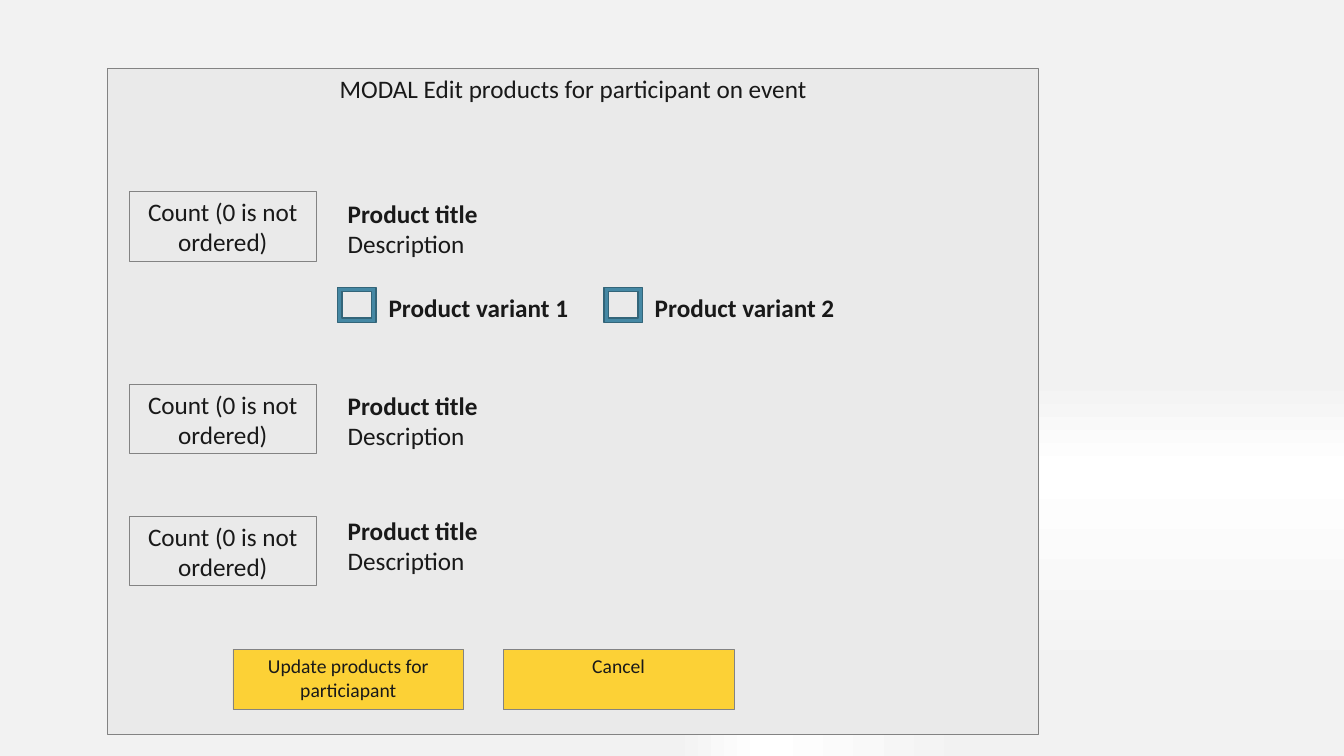
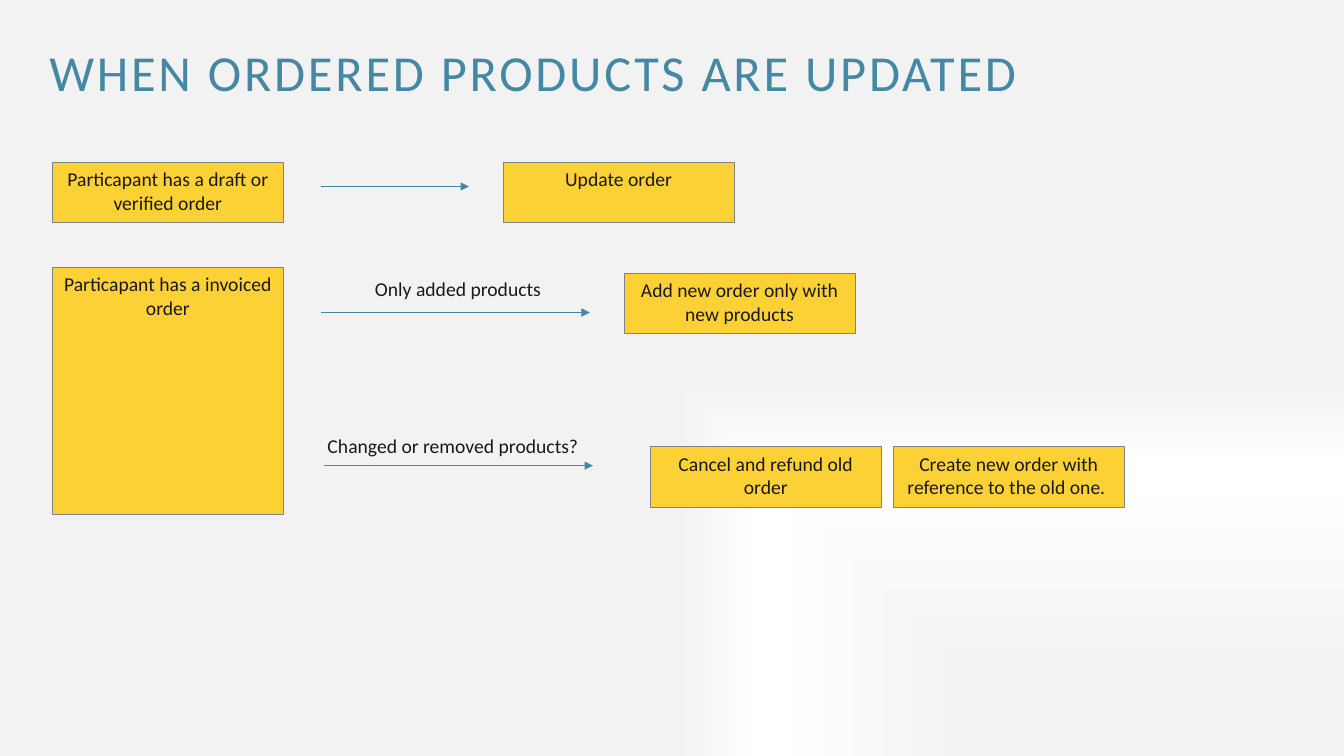
from lxml import etree
from pptx import Presentation
from pptx.dml.color import RGBColor
from pptx.enum.shapes import MSO_CONNECTOR, MSO_SHAPE
from pptx.enum.text import MSO_ANCHOR, MSO_AUTO_SIZE, PP_ALIGN
from pptx.oxml import parse_xml
from pptx.oxml.ns import qn
from pptx.util import Inches, Pt

RECT, FRAME = MSO_SHAPE.RECTANGLE, MSO_SHAPE.FRAME
STRAIGHT = MSO_CONNECTOR.STRAIGHT
TOP, BOTTOM = MSO_ANCHOR.TOP, MSO_ANCHOR.BOTTOM
LEFT, CENTER = PP_ALIGN.LEFT, PP_ALIGN.CENTER
GROW = MSO_AUTO_SIZE.SHAPE_TO_FIT_TEXT

FONT = "Calibri"
INK, TEAL, DEEP = "191919", "4588A4", "336579"
PANEL, EDGE, GOLD = "EAEAEA", "838383", "FCD136"
STOPS = [(0, "F2F2F2"), (20, "F2F2F2"), (76, "FFFFFF"), (100, "F2F2F2")]
BOX_W, BOX_H = 2.29, 0.6

MODAL = "MODAL Edit products for participant on event"
COUNT = "Count (0 is not ordered)"
PRODUCT = ["Product title", "Description"]
ROWS = [(1.9, 1.92), (3.81, 3.82), (5.12, 5.06)]
VARIANTS = [("Product variant 1", 3.35), ("Product variant 2", 5.99)]
BUTTONS = [("Update products for particiapant", 2.31), ("Cancel", 4.99)]

TITLE = "WHEN ORDERED PRODUCTS ARE UPDATED"
STEPS = [
    ("Particapant has a draft or verified order", 0.52, 1.61, BOX_H),
    ("Update order", 4.99, 1.61, BOX_H),
    ("Particapant has a invoiced order", 0.52, 2.65, 2.45),
    ("Add new order only with new products", 6.19, 2.71, BOX_H),
    ("Cancel and refund old order", 6.45, 4.43, BOX_H),
    ("Create new order with reference to the old one. ", 8.86, 4.43, BOX_H),
]
ARROWS = [(3.18, 4.65, 1.85), (3.18, 5.85, 3.1), (3.21, 5.88, 4.62)]
LABELS = [
    ("Only added products", 3.62, 2.7, 1.93),
    ("Changed or removed products?", 3.15, 4.26, 2.8),
]


def color(text):
    return RGBColor.from_string(text)


def inches(*sizes):
    return [Inches(size) for size in sizes]


def write(shape, lines, size, tint=INK, align=LEFT, bold=False):
    frame = shape.text_frame
    frame.text = "\n".join(lines)
    for spot, par in enumerate(frame.paragraphs):
        par.alignment = align
        par.font.name = FONT
        par.font.size = Pt(size)
        par.font.color.rgb = color(tint)
        par.font.bold = bold and spot == 0
    return frame


def box(slide, place, fill, edge=EDGE, width=0.5, kind=RECT):
    shape = slide.shapes.add_shape(kind, *inches(*place))
    shape.shadow.inherit = False
    shape.fill.solid()
    shape.fill.fore_color.rgb = color(fill)
    if edge:
        shape.line.color.rgb = color(edge)
        shape.line.width = Pt(width)
    else:
        shape.line.fill.background()
    shape.text_frame.vertical_anchor = TOP
    return shape


def button(slide, text, left, top, high=BOX_H):
    shape = box(slide, (left, top, BOX_W, high), GOLD)
    write(shape, [text], 14, align=CENTER)


def arrow(slide, start, end, top):
    line = slide.shapes.add_connector(STRAIGHT, *inches(start, top, end, top))
    line.line.color.rgb = color(TEAL)
    line.line.width = Pt(0.5)
    etree.SubElement(line.line._get_or_add_ln(), qn("a:tailEnd"), type="triangle")
    etree.SubElement(line._element.spPr, qn("a:effectLst"))


def label(slide, text, left, top, wide):
    shape = slide.shapes.add_textbox(*inches(left, top, wide, 0.34))
    frame = write(shape, [text], 14)
    frame.word_wrap = False
    frame.auto_size = GROW


def heading(slide, text):
    shape = slide.shapes.add_textbox(*inches(0.39, 0.33, 12.51, 0.79))
    frame = write(shape, [text], 36, TEAL)
    frame.word_wrap = True
    frame.vertical_anchor = BOTTOM
    frame.margin_top = frame.margin_bottom = Inches(0.1)
    par = frame.paragraphs[0]
    par.line_spacing = 0.9
    par.runs[0].font._element.set("spc", "200")


def backdrop(master):
    stops = "".join(
        f'<a:gs pos="{spot * 1000}"><a:srgbClr val="{tint}"/></a:gs>'
        for spot, tint in STOPS
    )
    tree = master.element.cSld
    for old in tree.findall(qn("p:bg")):
        tree.remove(old)
    tree.insert(0, parse_xml(
        '<p:bg xmlns:p="http://schemas.openxmlformats.org/presentationml/2006/main"'
        ' xmlns:a="http://schemas.openxmlformats.org/drawingml/2006/main">'
        f'<p:bgPr><a:gradFill rotWithShape="1"><a:gsLst>{stops}</a:gsLst>'
        '<a:path path="rect"><a:fillToRect l="100000" t="100000"/></a:path>'
        '</a:gradFill><a:effectLst/></p:bgPr></p:bg>'
    ))


def modal(slide):
    panel = box(slide, (1.07, 0.68, 9.23, 6.61), PANEL)
    write(panel, [MODAL], 18, align=CENTER)
    for count_y, text_y in ROWS:
        count = box(slide, (1.28, count_y, 1.86, 0.69), PANEL)
        write(count, [COUNT], 18, align=CENTER)
        product = box(slide, (3.35, text_y, 2.05, 0.69), PANEL, None)
        write(product, PRODUCT, 18, bold=True)
    for text, left in VARIANTS:
        name = box(slide, (left + 0.37, 2.85, 2.05, 0.69), PANEL, None)
        write(name, [text], 18, align=CENTER, bold=True)
        box(slide, (left, 2.85, 0.38, 0.35), TEAL, DEEP, 1, FRAME)
    for text, left in BUTTONS:
        button(slide, text, left, 6.44)


def flow(slide):
    heading(slide, TITLE)
    for step in STEPS:
        button(slide, *step)
    for item in ARROWS:
        arrow(slide, *item)
    for item in LABELS:
        label(slide, *item)


deck = Presentation()
deck.slide_width, deck.slide_height = inches(13.33, 7.5)
backdrop(deck.slide_master)
for draw in (modal, flow):
    draw(deck.slides.add_slide(deck.slide_layouts[6]))
deck.save("out.pptx")
